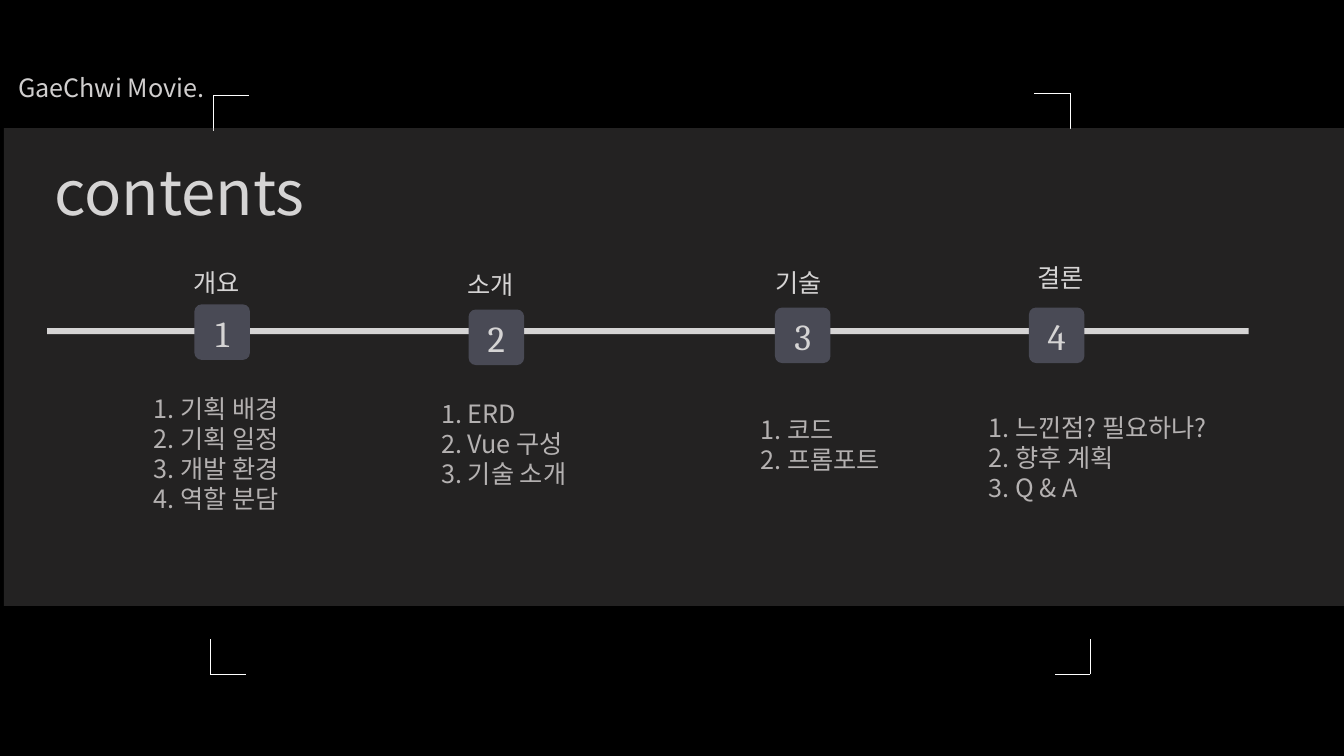
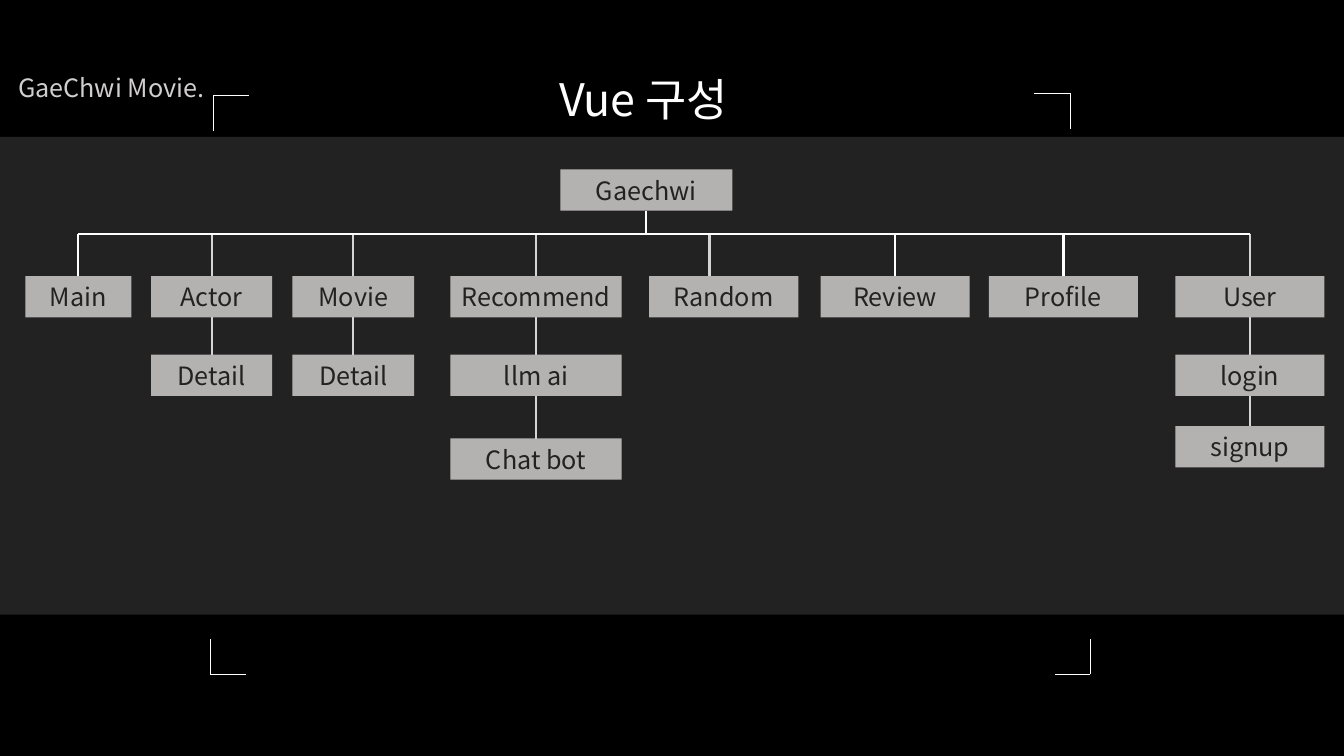
from itertools import pairwise

from pptx import Presentation
from pptx.dml.color import RGBColor
from pptx.enum.shapes import MSO_CONNECTOR as LINK, MSO_SHAPE as FORM
from pptx.enum.text import MSO_ANCHOR as ANCHOR, PP_ALIGN as ALIGN
from pptx.oxml.ns import qn
from pptx.util import Cm, Pt

WHITE = RGBColor(0xFF, 0xFF, 0xFF)
BLACK = RGBColor(0x00, 0x00, 0x00)
SILVER = RGBColor(0xD0, 0xCE, 0xCE)
SLATE = RGBColor(0x36, 0x3A, 0x4A)
HAZE = RGBColor(0x76, 0x71, 0x71)
SANS = "Noto Sans CJK KR"
SERIF = "Cambria"

CORNERS = [(5.38, 2.4, 1, 1), (26.97, 2.34, -1, 1),
           (27.48, 16.99, -1, -1), (5.3, 16.99, 1, -1)]
CORNER_ARM = 0.9

BADGE = 1.4
CHAPTERS = [
    (4.9, 7.67, "개요", 5.46, 6.6, 3.63, 9.78,
     ["1. 기획 배경", "2. 기획 일정", "3. 개발 환경", "4. 역할 분담"]),
    (11.81, 7.8, "소개", 12.36, 6.65, 10.87, 9.91,
     ["1. ERD", "2. Vue 구성", "3. 기술 소개"]),
    (19.53, 7.75, "기술", 20.13, 6.6, 18.92, 10.31,
     ["1. 코드", "2. 프롬포트"]),
    (25.93, 7.75, "결론", 26.73, 6.48, 24.66, 10.26,
     ["1. 느낀점? 필요하나?", "2. 향후 계획", "3. Q & A"]),
]

BUS_Y = 5.89
NODE_HEIGHT = 1.04
BRANCHES = [
    (0.64, 2.67, 0, [("Main", 6.96)]),
    (3.81, 3.05, 0, [("Actor", 6.96), ("Detail", 8.94)]),
    (7.37, 3.07, 0, [("Movie", 6.96), ("Detail", 8.94)]),
    (11.35, 4.32, 0, [("Recommend", 6.96), ("llm ai", 8.94), ("Chat bot", 11.05)]),
    (16.36, 3.76, -0.36, [("Random", 6.96)]),
    (20.68, 3.76, 0, [("Review", 6.96)]),
    (24.92, 3.76, 0, [("Profile", 6.96)]),
    (29.62, 3.76, 0, [("User", 6.96), ("login", 8.94), ("signup", 10.74)]),
]


def write(frame, lines, size, color, align=ALIGN.LEFT, face=SANS, spacing=None):
    """Fill a text frame with equally formatted paragraphs."""
    frame.text = "\n".join(lines)
    for paragraph in frame.paragraphs:
        paragraph.alignment = align
        if spacing:
            paragraph.line_spacing = Pt(spacing)
        font = paragraph.font
        font.name, font.size, font.color.rgb = face, Pt(size), color
        latin = paragraph._p.pPr.find(qn("a:defRPr")).find(qn("a:latin"))
        east_asian = latin.makeelement(qn("a:ea"), {"typeface": face})
        latin.addnext(east_asian)


def add_label(slide, left, top, width, height, lines, color, align=ALIGN.CENTER):
    """Add a wrapped text box at body size."""
    frame = slide.shapes.add_textbox(Cm(left), Cm(top), Cm(width), Cm(height)).text_frame
    frame.word_wrap = True
    write(frame, lines, 18, color, align)


def add_block(slide, left, top, width, height, color, form=FORM.RECTANGLE):
    """Add a flat filled shape without outline."""
    block = slide.shapes.add_shape(form, Cm(left), Cm(top), Cm(width), Cm(height))
    block.shadow.inherit = False
    block.fill.solid()
    block.fill.fore_color.rgb = color
    block.line.fill.background()
    return block


def add_line(slide, x1, y1, x2, y2, weight):
    """Add a white straight line."""
    line = slide.shapes.add_connector(LINK.STRAIGHT, Cm(x1), Cm(y1), Cm(x2), Cm(y2))
    line.line.color.rgb = WHITE
    line.line.width = Pt(weight)
    properties = line._element.spPr
    properties.append(properties.makeelement(qn("a:effectLst"), {}))
    return line


def add_band(slide, left, top):
    """Lay the translucent band over the slide."""
    band = add_block(slide, left, top, 33.87, 12.04, HAZE)
    tint = band._element.spPr.find(qn("a:solidFill"))[0]
    tint.append(tint.makeelement(qn("a:alpha"), {"val": "30000"}))


def add_framed_slide(deck, title, left, top, width, height, size, spacing=None):
    """Add a titled slide with the project name and four corner marks."""
    slide = deck.slides.add_slide(deck.slide_layouts[5])
    heading = slide.shapes.title
    heading.left, heading.top = Cm(left), Cm(top)
    heading.width, heading.height = Cm(width), Cm(height)
    heading.text_frame.vertical_anchor = ANCHOR.TOP
    write(heading.text_frame, [title], size, WHITE, spacing=spacing)
    for x, y, across, down in CORNERS:
        add_line(slide, x, y, x + across * CORNER_ARM, y, 0.5)
        add_line(slide, x, y, x, y + down * CORNER_ARM, 0.5)
    add_label(slide, -0.28, 1.7, 6.17, 1.02, ["GaeChwi Movie."], SILVER)
    return slide


def add_badge(slide, left, top, number):
    """Add a numbered rounded square."""
    badge = add_block(slide, left, top, BADGE, BADGE, SLATE, FORM.ROUNDED_RECTANGLE)
    badge.adjustments[0] = 0.13
    frame = badge.text_frame
    frame.margin_top = frame.margin_bottom = 0
    frame.word_wrap = False
    frame.vertical_anchor = ANCHOR.MIDDLE
    write(frame, [str(number)], 26.2, WHITE, ALIGN.CENTER, SERIF, 32.8)


def add_node(slide, left, top, width, label):
    """Add a labelled box of the component tree."""
    node = add_block(slide, left, top, width, NODE_HEIGHT, SILVER)
    node.text_frame.vertical_anchor = ANCHOR.MIDDLE
    write(node.text_frame, [label], 18, BLACK, ALIGN.CENTER)
    return node


def add_stem(slide, x, shift, node):
    """Drop a line from the bus to a node."""
    stem = add_line(slide, x, BUS_Y, x, node.top / Cm(1), 1.5)
    if not shift:
        stem.end_connect(node, 0)


def build_contents(deck):
    """Build the table of contents along a timeline."""
    slide = add_framed_slide(deck, "contents", 1.12, 3.68, 15.44, 1.93, 44, 54.7)
    add_block(slide, 1.19, 8.27, 30.28, 0.15, WHITE)
    for number, chapter in enumerate(CHAPTERS, 1):
        left, top, name, center, name_top, list_left, list_top, topics = chapter
        add_badge(slide, left, top, number)
        add_label(slide, center - 3.09, name_top, 6.17, 1.02, [name], WHITE)
        add_label(slide, list_left, list_top, 8, 0.77 * len(topics) + 0.25,
                  topics, SILVER, ALIGN.LEFT)
    add_band(slide, 0.1, 3.23)


def build_tree(deck):
    """Build the tree of Vue components."""
    slide = add_framed_slide(deck, "Vue 구성", 13.84, 1.68, 6.43, 1.63, 32)
    root = add_node(slide, 14.12, 4.27, 4.34, "Gaechwi")
    top_stems = []
    for left, width, shift, entries in BRANCHES:
        nodes = [add_node(slide, left, top, width, label) for label, top in entries]
        for parent, child in pairwise(nodes):
            link = add_line(slide, 0, 0, 0, 0, 1.5)
            link.begin_connect(parent, 2)
            link.end_connect(child, 0)
        stem = (left + width / 2 + shift, shift, nodes[0])
        if len(nodes) > 1 or shift:
            add_stem(slide, *stem)
        else:
            top_stems.append(stem)
    add_band(slide, 0, 3.45)
    for stem in top_stems:
        add_stem(slide, *stem)
    trunk = add_line(slide, 16.29, 5.31, 16.29, BUS_Y, 1.5)
    trunk.begin_connect(root, 2)
    first, last = BRANCHES[0], BRANCHES[-1]
    add_line(slide, first[0] + first[1] / 2, BUS_Y, last[0] + last[1] / 2, BUS_Y, 1.5)


def main():
    """Build and save the deck."""
    deck = Presentation()
    deck.slide_width, deck.slide_height = Cm(33.87), Cm(19.05)
    backdrop = deck.slide_master.background.fill
    backdrop.solid()
    backdrop.fore_color.rgb = BLACK
    build_contents(deck)
    build_tree(deck)
    deck.save("out.pptx")


if __name__ == "__main__":
    main()
